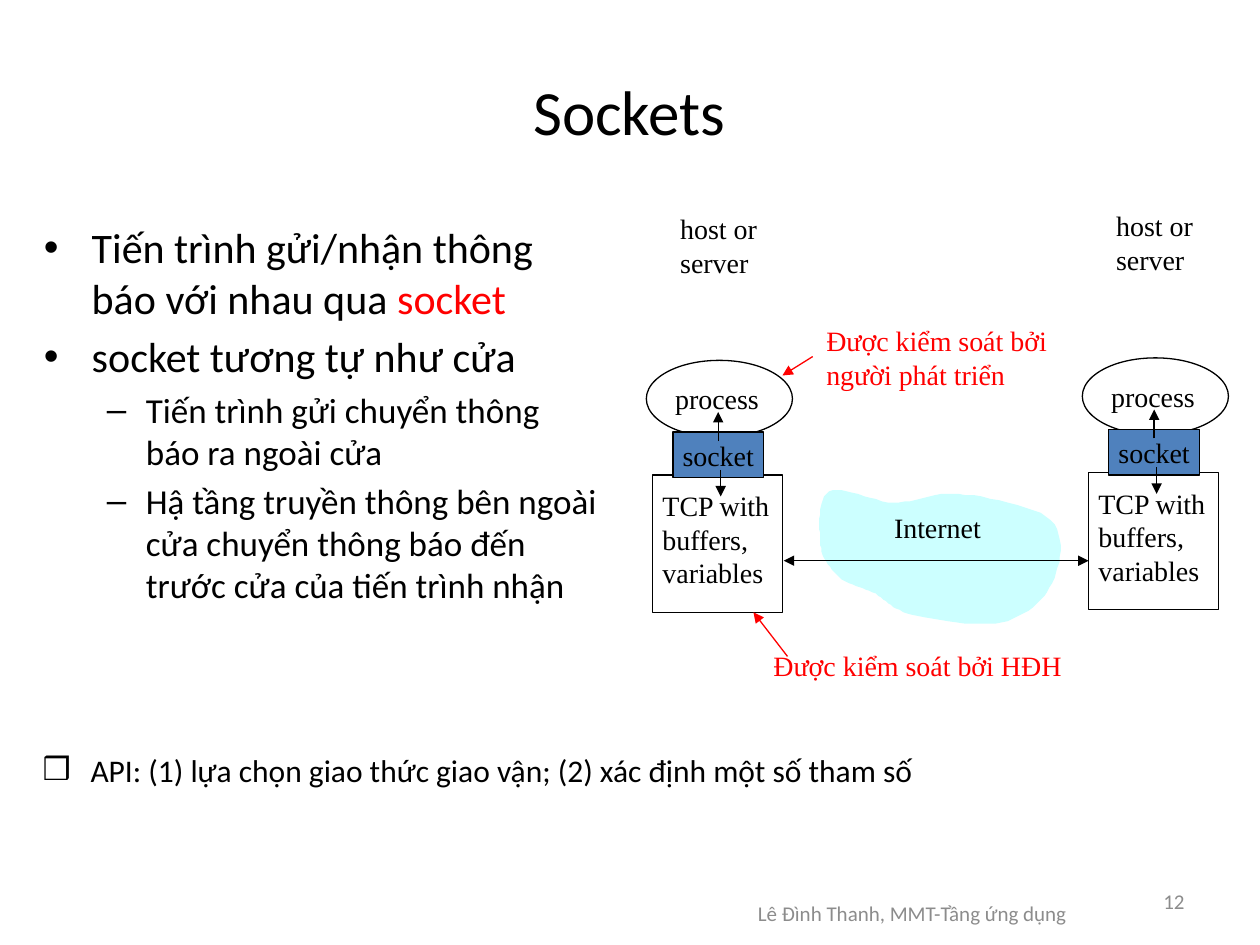
"""Build the Sockets slide: bullet text beside two hosts talking over the internet."""
from dataclasses import dataclass
from typing import Optional

from lxml.etree import SubElement
from pptx import Presentation
from pptx.dml.color import RGBColor
from pptx.enum.shapes import MSO_CONNECTOR as Link, MSO_SHAPE as Shape
from pptx.enum.text import MSO_ANCHOR as Anchor, MSO_AUTO_SIZE as Fit, PP_ALIGN as Align
from pptx.oxml.ns import qn
from pptx.util import Pt

PX = 9144
COLORS = {"black": "000000", "red": "FF0000", "gray": "8C8C8C",
          "socket": "4F81BD", "cloud": "CCFFFF"}
SANS, SERIF = "Calibri", "Times New Roman"


@dataclass(frozen=True)
class Run:
    text: str
    color: str = "black"


@dataclass(frozen=True)
class Para:
    runs: tuple[Run, ...]
    size: int = 16
    font: str = SERIF
    align: Align = Align.LEFT
    bullet: str = ""
    margin: int = 0
    hang: int = 0
    before: float = 0


@dataclass(frozen=True)
class Label:
    area: tuple[int, int, int, int]
    paras: tuple[Para, ...]
    anchor: Anchor = Anchor.TOP
    wrap: bool = True


@dataclass(frozen=True)
class Arrow:
    start: tuple[int, int]
    end: tuple[int, int]
    color: str = "black"
    both: bool = False


@dataclass(frozen=True)
class Outline:
    kind: Shape
    area: tuple[int, int, int, int]
    fill: Optional[str] = None
    text: str = ""


def rgb(name: str) -> RGBColor:
    return RGBColor.from_string(COLORS[name])


def scaled(*lengths: int) -> list[int]:
    return [length * PX for length in lengths]


def write_paras(frame, paras: tuple[Para, ...]) -> None:
    for index, item in enumerate(paras):
        para = frame.add_paragraph() if index else frame.paragraphs[0]
        para.alignment = item.align
        if item.bullet:
            props = para._p.get_or_add_pPr()
            props.set("marL", str(item.margin * PX))
            props.set("indent", str(-item.hang * PX))
            SubElement(props, qn("a:buFont")).set("typeface", "Arial")
            SubElement(props, qn("a:buChar")).set("char", item.bullet)
        para.space_before = Pt(item.before if index else 0)
        para.font.size = Pt(item.size)
        for part in item.runs:
            span = para.add_run()
            span.text = part.text
            span.font.size = Pt(item.size)
            span.font.name = item.font
            span.font.color.rgb = rgb(part.color)


def add_label(shapes, label: Label) -> None:
    box = shapes.add_textbox(*scaled(*label.area))
    frame = box.text_frame
    frame.word_wrap = label.wrap
    frame.auto_size = Fit.NONE if label.wrap else Fit.SHAPE_TO_FIT_TEXT
    frame.vertical_anchor = label.anchor
    write_paras(frame, label.paras)


def add_outline(shapes, outline: Outline) -> None:
    shape = shapes.add_shape(outline.kind, *scaled(*outline.area))
    shape.shadow.inherit = False
    shape.line.color.rgb = rgb("black")
    shape.line.width = Pt(0.75)
    if outline.fill:
        shape.fill.solid()
        shape.fill.fore_color.rgb = rgb(outline.fill)
    else:
        shape.fill.background()
    if outline.text:
        frame = shape.text_frame
        frame.word_wrap = False
        frame.vertical_anchor = Anchor.MIDDLE
        write_paras(frame, (Para((Run(outline.text),), align=Align.CENTER),))


def add_arrow(shapes, arrow: Arrow) -> None:
    line = shapes.add_connector(Link.STRAIGHT, *scaled(*arrow.start, *arrow.end))
    line.line.color.rgb = rgb(arrow.color)
    line.line.width = Pt(0.75)
    stroke = line.line._get_or_add_ln()
    for end in ("a:headEnd", "a:tailEnd") if arrow.both else ("a:tailEnd",):
        SubElement(stroke, qn(end)).set("type", "triangle")
    SubElement(line._element.spPr, qn("a:effectLst"))


def plain(*lines: str, color: str = "black") -> tuple[Para, ...]:
    return tuple(Para((Run(line, color),)) for line in lines)


def add_host(page, left: int, top: int) -> None:
    shapes = page.shapes.add_group_shape().shapes
    add_outline(shapes, Outline(Shape.OVAL, (left, top + 123, 116, 61)))
    add_label(shapes, Label((left + 13, top + 135, 87, 37), plain("process"), wrap=False))
    add_outline(shapes, Outline(Shape.RECTANGLE, (left + 5, top + 214, 103, 109)))
    add_label(shapes, Label((left + 3, top + 220, 106, 90),
                            plain("TCP with", "buffers,", "variables"), wrap=False))
    add_outline(shapes, Outline(Shape.RECTANGLE, (left + 21, top + 180, 72, 36),
                                "socket", "socket"))
    add_arrow(shapes, Arrow((left + 57, top + 187), (left + 57, top + 164)))
    add_arrow(shapes, Arrow((left + 59, top + 210), (left + 59, top + 231)))
    add_label(shapes, Label((left + 17, top, 81, 64), plain("host or", "server"), wrap=False))


def curve_points(start: tuple, curves: tuple, steps: int = 12) -> list[tuple[float, float]]:
    points = []
    for first, second, end in curves:
        for step in range(1, steps + 1):
            t = step / steps
            weights = ((1 - t) ** 3, 3 * t * (1 - t) ** 2, 3 * t * t * (1 - t), t ** 3)
            knots = (start, first, second, end)
            points.append(tuple(sum(w * knot[axis] for w, knot in zip(weights, knots))
                                for axis in (0, 1)))
        start = end
    return points


def add_cloud(page) -> None:
    start = (651, 430)
    curves = (
        ((650, 418), (649, 396), (658, 390)), ((668, 385), (692, 398), (709, 399)),
        ((727, 399), (740, 390), (761, 392)), ((781, 394), (822, 401), (834, 413)),
        ((846, 425), (842, 449), (835, 463)), ((829, 476), (814, 490), (795, 494)),
        ((777, 498), (741, 492), (724, 488)), ((707, 484), (705, 477), (695, 471)),
        ((685, 466), (673, 465), (666, 458)), ((658, 451), (651, 441), start),
    )
    builder = page.shapes.build_freeform(*start, scale=PX)
    builder.add_line_segments(curve_points(start, curves), close=True)
    cloud = builder.convert_to_shape()
    cloud.shadow.inherit = False
    cloud.fill.solid()
    cloud.fill.fore_color.rgb = rgb("cloud")
    cloud.line.fill.background()


def bullet(*runs: Run) -> Para:
    return Para(runs, 24, SANS, bullet="•", margin=38, hang=38, before=4.8)


def dash(text: str) -> Para:
    return Para((Run(text),), 20, SANS, bullet="–", margin=81, hang=31, before=4)


def main() -> None:
    deck = Presentation()
    deck.slide_width, deck.slide_height = scaled(1000, 750)
    page = deck.slides.add_slide(deck.slide_layouts[6])
    texts = (
        Label((540, 700, 368, 50), (Para((Run("Lê Đình Thanh, MMT-Tầng ứng dụng", "gray"),),
                                         12, SANS, Align.CENTER),), Anchor.MIDDLE),
        Label((717, 695, 233, 40), (Para((Run("12", "gray"),), 12, SANS, Align.RIGHT),),
              Anchor.MIDDLE),
        Label((58, 25, 883, 125), (Para((Run("Sockets"),), 36, SANS, Align.CENTER),),
              Anchor.MIDDLE),
        Label((25, 171, 460, 430), (
            bullet(Run("Tiến trình gửi/nhận thông báo với nhau qua "), Run("socket", "red")),
            bullet(Run("socket tương tự như cửa")),
            dash("Tiến trình gửi chuyển thông báo ra ngoài cửa"),
            dash("Hậ tầng truyền thông bên ngoài cửa chuyển thông báo đến "
                 "trước cửa của tiến trình nhận"))),
        Label((24, 591, 908, 100), (
            Para((Run("API: (1) lựa chọn giao thức giao vận; (2) xác định một số tham số"),),
                 18, SANS, bullet="❒", margin=38, hang=38),)),
    )
    notes = (
        Label((699, 400, 90, 37), (Para((Run("Internet"),), align=Align.CENTER),), wrap=False),
        Label((604, 510, 252, 64), plain("Được kiểm soát bởi HĐH", color="red"), wrap=False),
        Label((646, 252, 204, 64),
              plain("Được kiểm soát bởi", "người phát triển", color="red"), wrap=False),
    )
    arrows = (Arrow((622, 445), (864, 445), both=True),
              Arrow((625, 521), (598, 486), "red"), Arrow((645, 283), (621, 298), "red"))
    for label in texts:
        add_label(page.shapes, label)
    add_cloud(page)
    for left, top in ((513, 163), (859, 161)):
        add_host(page, left, top)
    for label in notes:
        add_label(page.shapes, label)
    for arrow in arrows:
        add_arrow(page.shapes, arrow)
    deck.save("out.pptx")


if __name__ == "__main__":
    main()
